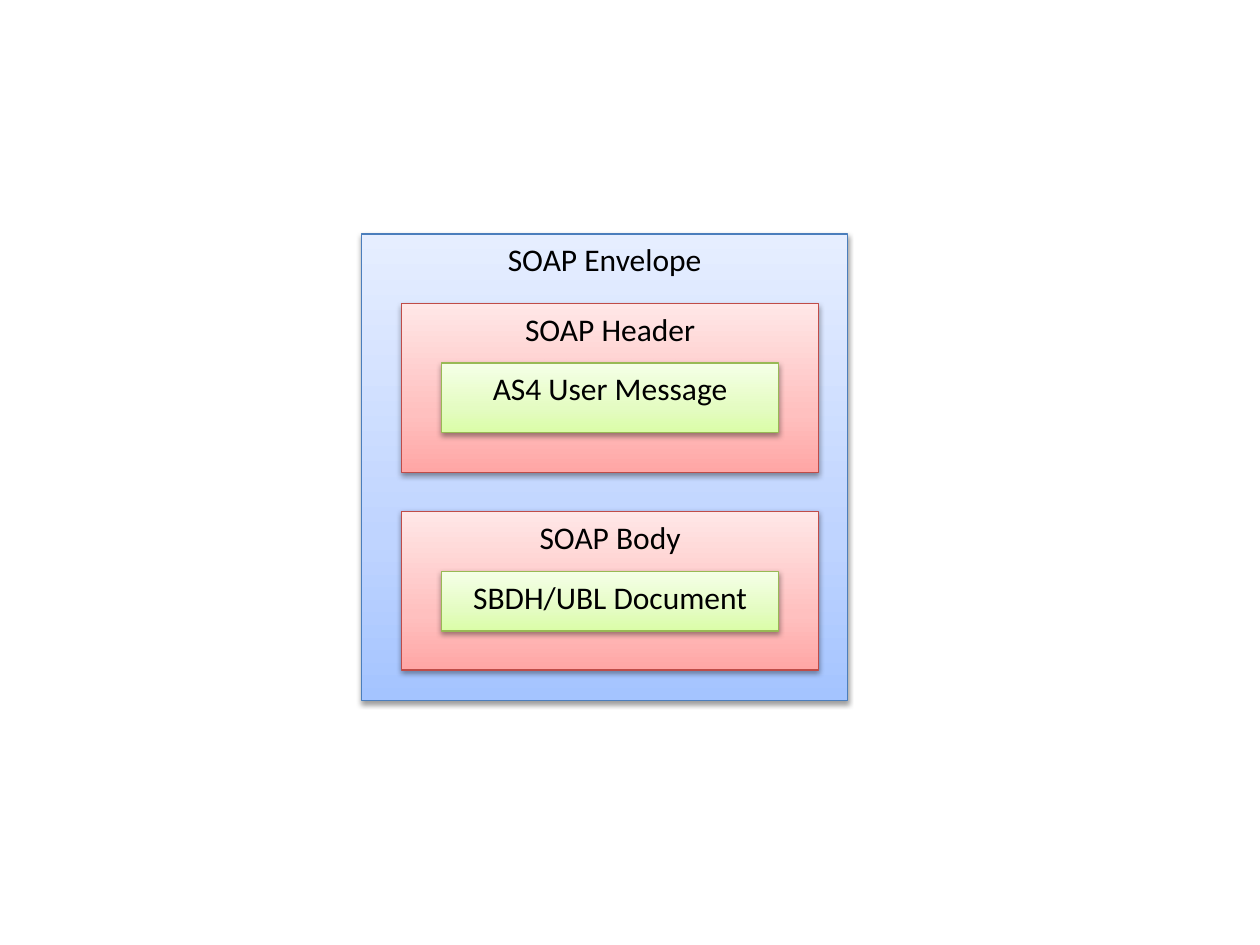
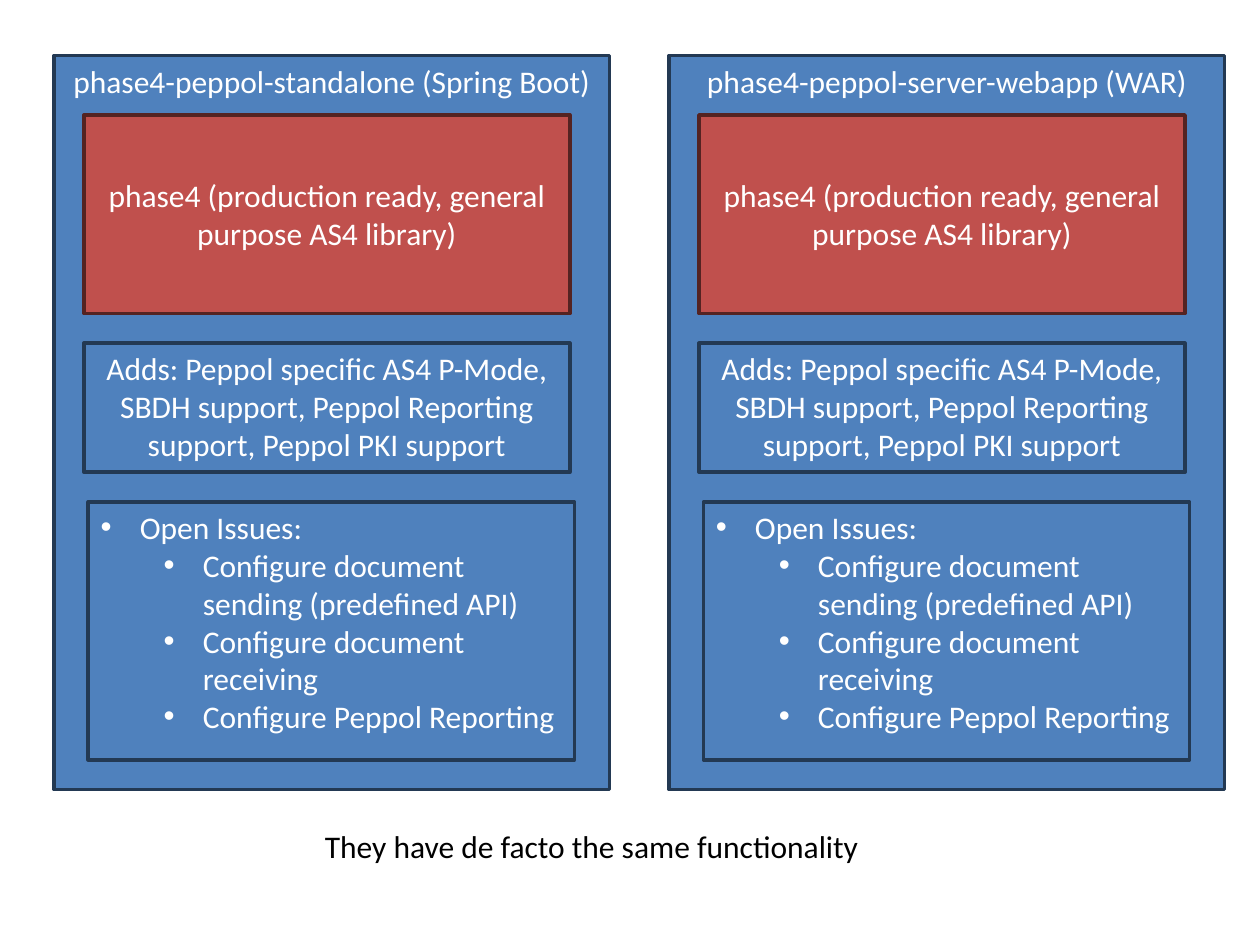
from copy import deepcopy

from lxml import etree
from pptx import Presentation
from pptx.dml.color import RGBColor
from pptx.enum.shapes import MSO_SHAPE
from pptx.enum.text import MSO_ANCHOR, MSO_AUTO_SIZE, PP_ALIGN
from pptx.oxml.ns import qn
from pptx.util import Cm, Pt

RECTANGLE = MSO_SHAPE.RECTANGLE
TOP, MIDDLE = MSO_ANCHOR.TOP, MSO_ANCHOR.MIDDLE
LEFT, CENTER = PP_ALIGN.LEFT, PP_ALIGN.CENTER
FIT_SHAPE = MSO_AUTO_SIZE.SHAPE_TO_FIT_TEXT

BLACK, WHITE = "000000", "FFFFFF"

# Gradient colours from bottom to top, then the outline
SOFT_BLUE = ("A4C4FF", "BFD4FF", "E6EEFF"), "4B7EBC"
SOFT_RED = ("FFA6A5", "FFC0BF", "FFE7E7"), "BF4C48"
SOFT_GREEN = ("DAFDA7", "E4FCC2", "F5FFE7"), "98B955"
GRADIENT_POSITIONS = (0, 0.35, 1)

# Fill, then the outline
BLUE = "4F81BD", "233953"
RED = "C0504D", "542322"

BULLET_HANG = 0.79
BULLET_STEP = 1.27

ADDITIONS = ("Adds: Peppol specific AS4 P-Mode, SBDH support, "
             "Peppol Reporting support, Peppol PKI support")
LIBRARY = "phase4 (production ready, general purpose AS4 library)"
OPEN_ISSUES = [
    (0, "Open Issues:"),
    (1, "Configure document sending (predefined API)"),
    (1, "Configure document receiving"),
    (1, "Configure Peppol Reporting"),
]


def color(hex_string):
    return RGBColor.from_string(hex_string)


class Sketch:
    """Holds the deck, its text style and the page being drawn; lengths are in cm."""

    font = "Calibri"
    size = Pt(18)

    def __init__(self):
        self.deck = Presentation()
        self.deck.slide_width, self.deck.slide_height = Cm(25.4), Cm(19.05)
        self.page = None

    def new_page(self):
        self.page = self.deck.slides.add_slide(self.deck.slide_layouts[6])

    def add_text(self, para, text, ink, align):
        para.alignment = align
        span = para.add_run()
        span.text = text
        span.font.name, span.font.size = self.font, self.size
        span.font.color.rgb = color(ink)

    def frame(self, place, outline, weight, anchor=TOP):
        box = self.page.shapes.add_shape(RECTANGLE, *map(Cm, place))
        box.shadow.inherit = False
        box.line.color.rgb = color(outline)
        box.line.width = Pt(weight)
        box.text_frame.word_wrap = True
        box.text_frame.vertical_anchor = anchor
        return box

    def soft_box(self, place, text, palette):
        """Add a box with a vertical gradient and a drop shadow."""
        shades, outline = palette
        box = self.frame(place, outline, 0.75)
        box.fill.gradient()
        box.fill.gradient_angle = 90
        properties = box.element.spPr
        stop_list = properties.find(".//" + qn("a:gsLst"))
        stop_list.append(deepcopy(stop_list[0]))
        for stop, position, shade in zip(box.fill.gradient_stops, GRADIENT_POSITIONS, shades):
            stop.position = position
            stop.color.rgb = color(shade)
        shadow = etree.SubElement(
            properties.find(qn("a:effectLst")), qn("a:outerShdw"),
            blurRad="40000", dist="20000", dir="5400000", rotWithShape="0")
        tone = etree.SubElement(shadow, qn("a:srgbClr"), val=BLACK)
        etree.SubElement(tone, qn("a:alpha"), val="38000")
        self.add_text(box.text_frame.paragraphs[0], text, BLACK, CENTER)

    def flat_box(self, place, palette, text=None, anchor=TOP):
        fill, outline = palette
        box = self.frame(place, outline, 2, anchor)
        box.fill.solid()
        box.fill.fore_color.rgb = color(fill)
        if text:
            self.add_text(box.text_frame.paragraphs[0], text, WHITE, CENTER)
        return box

    def bullet_box(self, place, palette, items):
        """Add a flat box listing (level, text) items."""
        text_frame = self.flat_box(place, palette).text_frame
        for index, (level, text) in enumerate(items):
            para = text_frame.add_paragraph() if index else text_frame.paragraphs[0]
            para.level = level
            self.add_text(para, text, WHITE, LEFT)
            properties = para._p.get_or_add_pPr()
            properties.set("marL", str(Cm(BULLET_HANG + level * BULLET_STEP)))
            properties.set("indent", str(-Cm(BULLET_HANG)))
            etree.SubElement(properties, qn("a:buFont"), typeface="Arial")
            etree.SubElement(properties, qn("a:buChar"), char="•")

    def caption(self, place, text):
        box = self.page.shapes.add_textbox(*map(Cm, place))
        box.text_frame.word_wrap = False
        box.text_frame.auto_size = FIT_SHAPE
        self.add_text(box.text_frame.paragraphs[0], text, BLACK, LEFT)


def draw_message_structure(sketch):
    sketch.new_page()
    sketch.soft_box((7.29, 4.72, 9.8, 9.4), "SOAP Envelope", SOFT_BLUE)
    sketch.soft_box((8.1, 6.12, 8.4, 3.4), "SOAP Header", SOFT_RED)
    sketch.soft_box((8.1, 10.31, 8.4, 3.2), "SOAP Body", SOFT_RED)
    sketch.soft_box((8.9, 11.52, 6.8, 1.2), "SBDH/UBL Document", SOFT_GREEN)
    sketch.soft_box((8.9, 7.32, 6.8, 1.4), "AS4 User Message", SOFT_GREEN)


def draw_application(sketch, left, title):
    sketch.flat_box((left, 1.12, 11.2, 14.8), BLUE, title)
    sketch.flat_box((left + 0.6, 2.32, 9.8, 4), RED, LIBRARY, MIDDLE)
    sketch.flat_box((left + 0.6, 6.92, 9.8, 2.6), BLUE, ADDITIONS)
    sketch.bullet_box((left + 0.69, 10.12, 9.8, 5.2), BLUE, OPEN_ISSUES)


def draw_comparison(sketch):
    sketch.new_page()
    titles = ("phase4-peppol-standalone (Spring Boot)", "phase4-peppol-server-webapp (WAR)")
    for column, title in enumerate(titles):
        draw_application(sketch, 1.09 + column * 12.4, title)
    sketch.caption((6.3, 16.54, 11.4, 1.03), "They have de facto the same functionality")


def main():
    sketch = Sketch()
    draw_message_structure(sketch)
    draw_comparison(sketch)
    sketch.deck.save("out.pptx")


if __name__ == "__main__":
    main()
